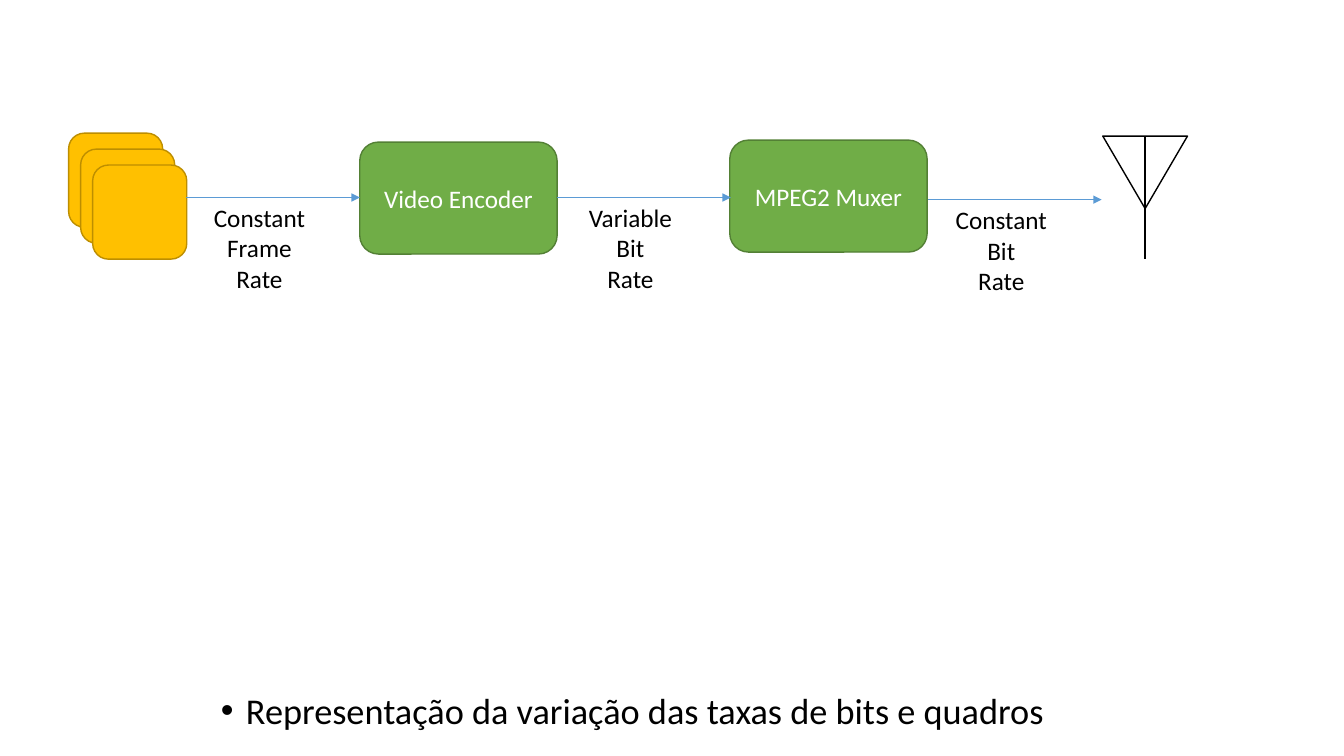
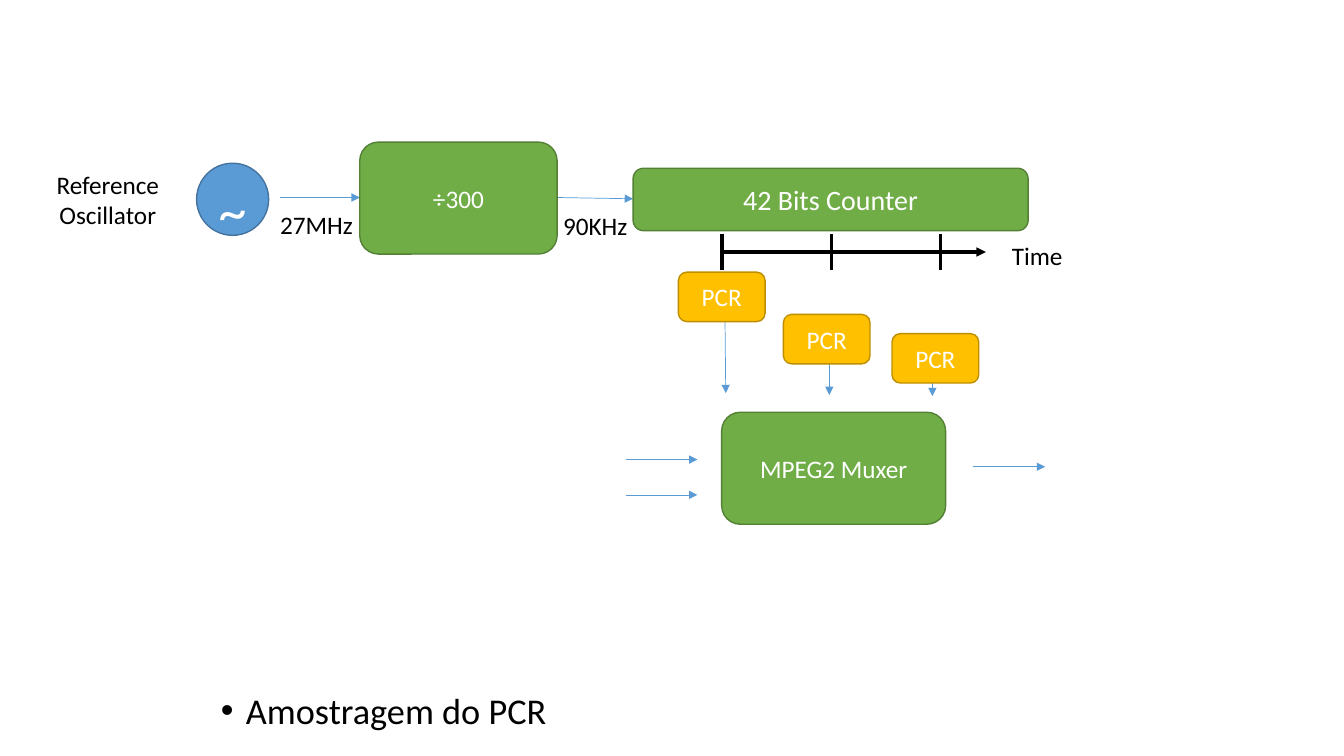
from dataclasses import dataclass
from lxml import etree
from pptx import Presentation
from pptx.dml.color import RGBColor
from pptx.enum import shapes, text
from pptx.oxml import ns
from pptx.util import Pt


@dataclass(frozen=True)
class Theme:
    font: str = "Calibri"
    ink: str = "000000"
    paper: str = "FFFFFF"
    green: tuple = ("70AD47", "538035")
    gold: tuple = ("FFC000", "BD8E00")
    blue: tuple = ("5B9BD5", "43739E")
    body: float = 18
    large: float = 20
    wave: float = 40
    title: float = 25.9
    thin: float = 0.5
    edge: float = 1
    bold: float = 2.25


T = Theme()
KIND = shapes.MSO_SHAPE

SIZE = (960, 540)
TITLE = (150.5, 493.9, 720, 35.3)

RATES = "Representação da variação das taxas de bits e quadros"
FRAME = {"left": 49, "top": 95.1, "side": 67.2, "dx": 8.6, "dy": 11.4, "count": 3}
STAGES = [("Video Encoder", 257, 101.5), ("MPEG2 Muxer", 521.3, 100.1)]
STAGE = (141, 80)
FLOWS = [
    ("Constant\nFrame\nRate", 133.2, 141.1),
    ("Variable\nBit\nRate", 398.2, 141.1),
    ("Constant\nBit\nRate", 663.1, 142.6),
]
FLOW = {"length": 123.8, "inset": 8.6, "width": 87, "height": 75}
DISH = (787.7, 97.2, 60.5, 51.8)
MAST = 87.8

SAMPLE = "Amostragem do PCR"
LINKS = [
    (592.4, 235.4, 592.4, 282.2),
    (666, 250.6, 666, 283),
    (517.7, 210.2, 518.4, 280.8),
    (200.2, 141.1, 257, 141.1),
    (398.2, 141.1, 452.2, 142),
    (447, 328.3, 498.2, 328.3),
    (447, 353.5, 498.2, 353.5),
    (694.8, 333.4, 746.6, 333.4),
]
BLOCKS = [
    ("÷300", (257, 101.5, *STAGE), T.body),
    ("42 Bits Counter", (452.2, 120.2, 282.2, 44.6), T.large),
    ("MPEG2 Muxer", (515.5, 294.5, 160, 80), T.body),
]
PCRS = [(484.6, 194.4), (559.6, 224.6), (637.2, 238.3)]
PCR = (61.9, 35.3)
CLOCK = (140.4, 116.6, 51.5, 51.5)
DROP = 17
NOTES = [
    ("Reference\nOscillator", (28.8, 117.4, 96.5, 51.1)),
    ("27MHz", (192.2, 146.2, 67.7, 28.8)),
    ("90KHz", (393.1, 146.9, 64.1, 28.8)),
    ("Time", (707, 167.8, 67.7, 28.8)),
]
AXIS = {"left": 515.7, "right": 704.2, "y": 180, "gap": 78.1, "half": 13, "ticks": 3}


def rgb(code):
    return RGBColor.from_string(code)


def write(frame, words, size, color, align=text.PP_ALIGN.CENTER):
    frame.word_wrap = True
    for i, line in enumerate(words.split("\n")):
        para = frame.add_paragraph() if i else frame.paragraphs[0]
        para.alignment = align
        run = para.add_run()
        run.text = line
        run.font.name = T.font
        run.font.size = Pt(size)
        run.font.color.rgb = rgb(color)


def block(slide, kind, area, colors, words="", size=T.body):
    item = slide.shapes.add_shape(kind, *map(Pt, area))
    item.shadow.inherit = False
    item.fill.solid()
    item.fill.fore_color.rgb = rgb(colors[0])
    item.line.color.rgb = rgb(colors[1])
    item.line.width = Pt(T.edge)
    if words:
        item.text_frame.vertical_anchor = text.MSO_ANCHOR.MIDDLE
        write(item.text_frame, words, size, T.paper)
    return item


def label(slide, words, area):
    box = slide.shapes.add_textbox(*map(Pt, area))
    write(box.text_frame, words, T.body, T.ink)


def link(slide, ends, color=T.blue[0], width=T.thin, arrow=True):
    item = slide.shapes.add_connector(shapes.MSO_CONNECTOR.STRAIGHT, *map(Pt, ends))
    item.line.color.rgb = rgb(color)
    item.line.width = Pt(width)
    if arrow:
        etree.SubElement(item.line._get_or_add_ln(), ns.qn("a:tailEnd"), type="triangle")
    etree.SubElement(item._element.spPr, ns.qn("a:effectLst"))


def page(deck, words):
    slide = deck.slides.add_slide(deck.slide_layouts[5])
    title = slide.shapes.title
    title.left, title.top, title.width, title.height = map(Pt, TITLE)
    frame = title.text_frame
    frame.auto_size = text.MSO_AUTO_SIZE.NONE
    frame.vertical_anchor = text.MSO_ANCHOR.TOP
    write(frame, words, T.title, T.ink, text.PP_ALIGN.LEFT)
    para = frame.paragraphs[0]
    para.line_spacing = 0.8
    para.space_before = Pt(10)
    props = para._p.get_or_add_pPr()
    props.set("marL", str(Pt(18)))
    props.set("indent", str(-Pt(18)))
    etree.SubElement(props, ns.qn("a:buFont"), typeface="Arial")
    etree.SubElement(props, ns.qn("a:buChar"), char="•")
    return slide


def rates(deck):
    slide = page(deck, RATES)
    side = FRAME["side"]
    for i in range(FRAME["count"]):
        x, y = FRAME["left"] + i * FRAME["dx"], FRAME["top"] + i * FRAME["dy"]
        block(slide, KIND.ROUNDED_RECTANGLE, (x, y, side, side), T.gold)
    for words, x, y in STAGES:
        block(slide, KIND.ROUNDED_RECTANGLE, (x, y, *STAGE), T.green, words)
    for words, x, y in FLOWS:
        link(slide, (x, y, x + FLOW["length"], y))
        label(slide, words, (x + FLOW["inset"], y, FLOW["width"], FLOW["height"]))
    dish = block(slide, KIND.ISOSCELES_TRIANGLE, DISH, (T.paper, T.ink))
    dish.rotation = 180
    x, y = DISH[0] + DISH[2] / 2, DISH[1]
    link(slide, (x, y, x, y + MAST), T.ink, T.edge, False)


def sample(deck):
    slide = page(deck, SAMPLE)
    for ends in LINKS:
        link(slide, ends)
    for words, area, size in BLOCKS:
        block(slide, KIND.ROUNDED_RECTANGLE, area, T.green, words, size)
    for spot in PCRS:
        block(slide, KIND.ROUNDED_RECTANGLE, (*spot, *PCR), T.gold, "PCR")
    clock = block(slide, KIND.OVAL, CLOCK, T.blue, "~", T.wave)
    clock.text_frame.margin_top = Pt(DROP)
    for words, area in NOTES:
        label(slide, words, area)
    y, half = AXIS["y"], AXIS["half"]
    link(slide, (AXIS["left"], y, AXIS["right"], y), T.ink, T.bold)
    for i in range(AXIS["ticks"]):
        x = AXIS["left"] + i * AXIS["gap"]
        link(slide, (x, y - half, x, y + half), T.ink, T.bold, False)


deck = Presentation()
deck.slide_width, deck.slide_height = map(Pt, SIZE)
rates(deck)
sample(deck)
deck.save("out.pptx")
